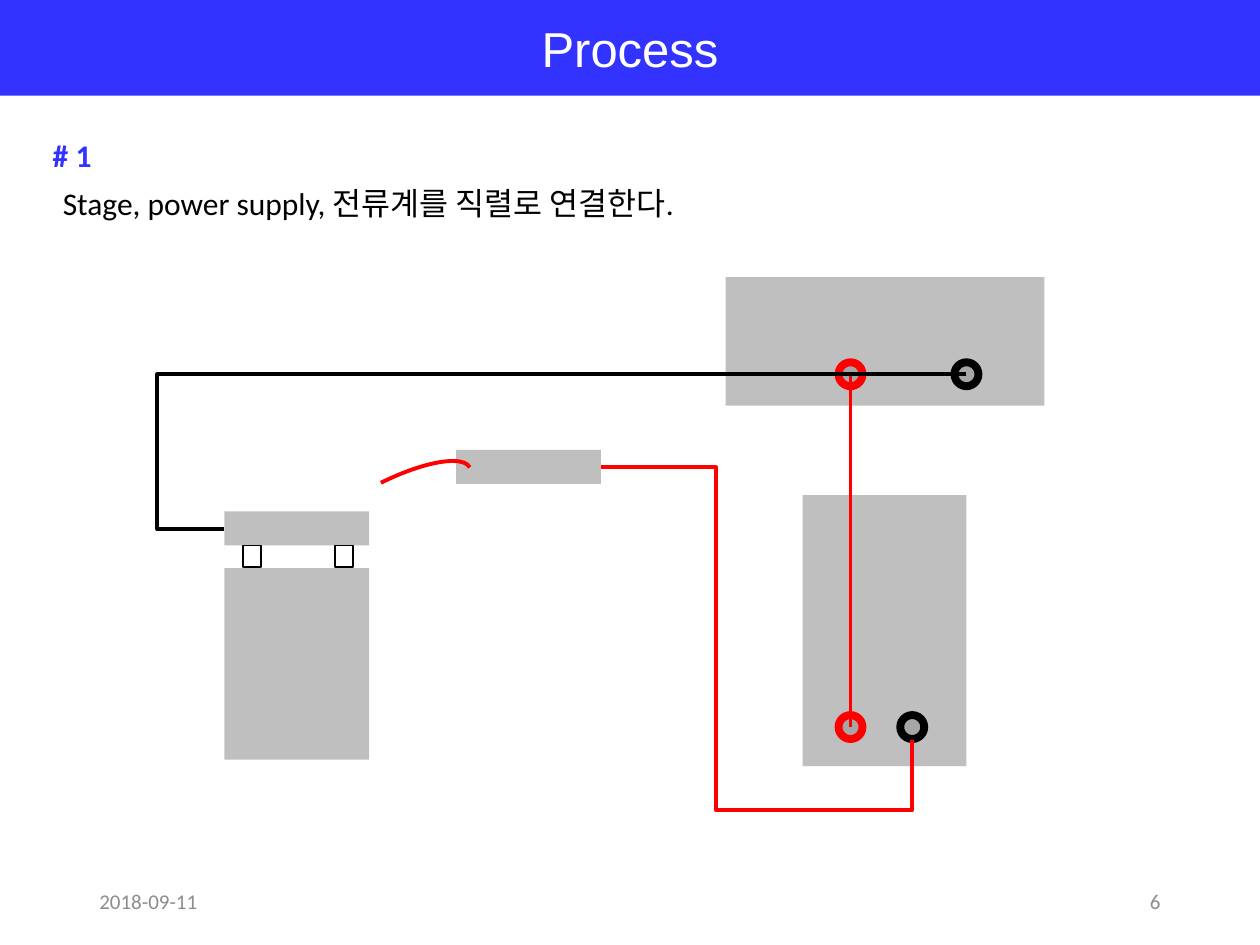
from dataclasses import dataclass

import pptx
import pptx.dml.color
import pptx.enum.shapes
import pptx.enum.text
import pptx.oxml
import pptx.oxml.ns
import pptx.util

Inches = pptx.util.Inches
Pt = pptx.util.Pt
Shape = pptx.enum.shapes.MSO_SHAPE
Wire = pptx.enum.shapes.MSO_CONNECTOR
Align = pptx.enum.text.PP_ALIGN
Anchor = pptx.enum.text.MSO_ANCHOR

BLUE, RED, BLACK, WHITE = "3333FF", "FF0000", "000000", "FFFFFF"
GRAY, DARK, MUTED = "BFBFBF", "A6A6A6", "8C8C8C"
JACK = 0.19


@dataclass
class Block:
    left: float
    top: float
    width: float
    height: float
    fill: str = GRAY
    line: str = ""


@dataclass
class Jack:
    x: float
    y: float
    color: str


def rgb(color: str):
    return pptx.dml.color.RGBColor.from_string(color)


def write(frame, text: str, size=18, color=BLACK, font="Calibri", bold=False,
          align=Align.LEFT, anchor=Anchor.TOP, wrap=True) -> None:
    frame.word_wrap = wrap
    frame.auto_size = pptx.enum.text.MSO_AUTO_SIZE.NONE
    frame.vertical_anchor = anchor
    para = frame.paragraphs[0]
    para.alignment = align
    run = para.add_run()
    run.text = text
    run.font.size = Pt(size)
    run.font.name = font
    run.font.bold = bold
    run.font.color.rgb = rgb(color)


def label(slide, left: float, top: float, width: float, text: str, **form) -> None:
    box = slide.shapes.add_textbox(
        Inches(left), Inches(top), Inches(width), Inches(0.4))
    write(box.text_frame, text, **form)


def shape(shapes, kind, left: float, top: float, width: float, height: float,
          fill="", line="", weight=1.0):
    item = shapes.add_shape(
        kind, Inches(left), Inches(top), Inches(width), Inches(height))
    item.shadow.inherit = False
    if fill:
        item.fill.solid()
        item.fill.fore_color.rgb = rgb(fill)
    else:
        item.fill.background()
    if line:
        item.line.color.rgb = rgb(line)
        item.line.width = Pt(weight)
    else:
        item.line.fill.background()
    return item


def block(shapes, part: Block) -> None:
    shape(shapes, Shape.RECTANGLE, part.left, part.top, part.width, part.height,
          part.fill, part.line)


def jack(shapes, part: Jack) -> None:
    shape(shapes, Shape.OVAL, part.x - JACK / 2, part.y - JACK / 2, JACK, JACK,
          DARK, part.color, 4.5)


def wire(shapes, start: tuple, end: tuple, color: str, bends=()) -> None:
    """Draw a lead; bends are the elbow positions as shares of its extent."""
    kind = Wire.ELBOW if bends else Wire.STRAIGHT
    lead = shapes.add_connector(kind, *map(Inches, start + end))
    lead.line.color.rgb = rgb(color)
    lead.line.width = Pt(2.25)
    props = lead._element.spPr
    pptx.oxml.ns.qn("a:effectLst")
    props.append(pptx.oxml.parse_xml(
        f'<a:effectLst {pptx.oxml.ns.nsdecls("a")}/>'))
    if bends:
        geom = props.find(pptx.oxml.ns.qn("a:prstGeom"))
        geom.set("prst", f"bentConnector{len(bends) + 2}")
        guides = geom.get_or_add_avLst()
        for number, share in enumerate(bends, 1):
            guide = guides.makeelement(pptx.oxml.ns.qn("a:gd"), {
                "name": f"adj{number}", "fmla": f"val {round(share * 100000)}"})
            guides.append(guide)


def main() -> None:
    deck = pptx.Presentation()
    deck.slide_width, deck.slide_height = Inches(10), Inches(7.5)
    slide = deck.slides.add_slide(deck.slide_layouts[5])
    shapes = slide.shapes

    # Title banner
    title = shapes.title
    title.left, title.top = Inches(0), Inches(0)
    title.width, title.height = Inches(10), Inches(0.76)
    title.fill.solid()
    title.fill.fore_color.rgb = rgb(BLUE)
    write(title.text_frame, "Process", size=28, color=WHITE, font="Arial",
          align=Align.CENTER, anchor=Anchor.MIDDLE, wrap=False)

    # Step text and footer
    label(slide, 0.32, 1.03, 0.65, "# 1", color=BLUE, bold=True)
    label(slide, 0.4, 1.41, 8.16, "Stage, power supply, 전류계를 직렬로 연결한다.")
    foot = dict(size=12, color=MUTED, anchor=Anchor.MIDDLE)
    label(slide, 0.69, 6.95, 2.25, "2018-09-11", **foot)
    label(slide, 7.06, 6.95, 2.25, "6", align=Align.RIGHT, **foot)

    # Probe, meter and power supply
    for part in (Block(3.62, 3.57, 1.15, 0.27),
                 Block(5.76, 2.2, 2.53, 1.02),
                 Block(6.37, 3.93, 1.3, 2.15)):
        block(shapes, part)

    # Stage: base, plate and two legs
    stage = shapes.add_group_shape().shapes
    for part in (Block(1.78, 4.51, 1.15, 1.52),
                 Block(1.78, 4.06, 1.15, 0.27),
                 Block(1.93, 4.33, 0.14, 0.17, WHITE, BLACK),
                 Block(2.66, 4.33, 0.14, 0.17, WHITE, BLACK)):
        block(stage, part)

    # Jacks
    for part in (Jack(6.75, 5.77, RED), Jack(7.24, 5.77, BLACK),
                 Jack(6.75, 2.97, RED), Jack(7.67, 2.97, BLACK)):
        jack(shapes, part)

    # Leads
    wire(shapes, (4.77, 3.71), (7.24, 5.87), RED, bends=(0.37, 1.26))
    wire(shapes, (6.75, 2.97), (6.75, 5.77), RED)
    wire(shapes, (7.67, 2.97), (1.78, 4.2), BLACK, bends=(1.09,))
    tip = shape(shapes, Shape.ARC, 2.43, 3.81, 1.37, 0.41, line=RED, weight=2.25)
    tip.rotation = 333.5

    deck.save("out.pptx")


if __name__ == "__main__":
    main()
